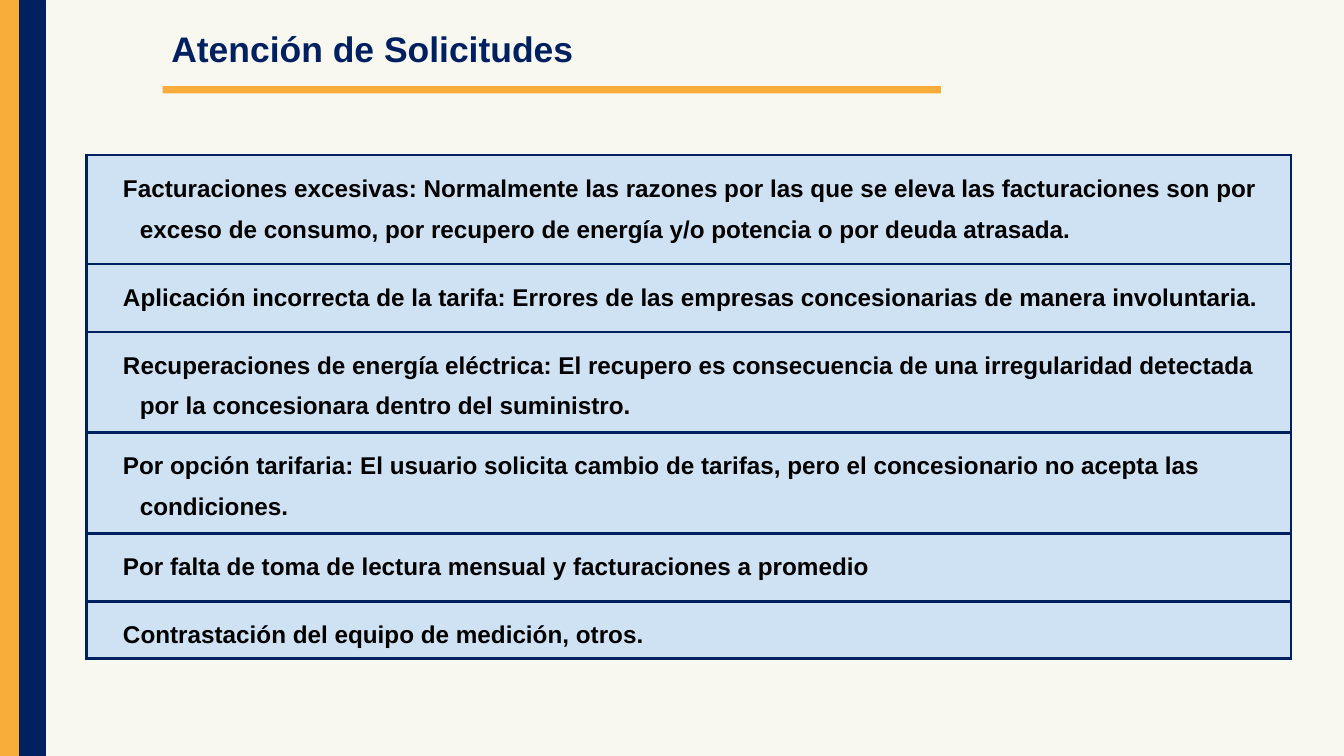
from dataclasses import dataclass

from lxml.etree import SubElement
from pptx import Presentation
from pptx.dml.color import RGBColor
from pptx.enum.shapes import MSO_SHAPE
from pptx.oxml.ns import qn
from pptx.util import Inches, Pt

COLORS = {
    "background": "F8F7F0",
    "orange": "F8AC39",
    "navy": "002060",
    "cell": "CFE2F3",
    "text": "000000",
}

# The slide is a grid of 20 columns by 11.25 rows
COLUMNS, ROWS = 20, 11.25
SLIDE_WIDTH, SLIDE_HEIGHT = Inches(20), Inches(11.25)

# Table row height: lines of text, cell margins and optional extra room
LINE_HEIGHT, CELL_MARGIN, EXTRA_ROOM = 0.61, 0.1, 0.2
BORDER_WIDTH = Pt(3)
BORDER_SIDES = ("a:lnL", "a:lnR", "a:lnT", "a:lnB")


@dataclass(frozen=True)
class Box:
    left: float
    top: float
    width: float
    height: float

    def lengths(self) -> tuple:
        return (across(self.left), down(self.top),
                across(self.width), down(self.height))


@dataclass(frozen=True)
class Bar:
    box: Box
    color: str
    outlined: bool = False


@dataclass(frozen=True)
class Request:
    text: str
    lines: int
    roomy: bool = False

    def height(self) -> float:
        extra = EXTRA_ROOM if self.roomy else 0
        return self.lines * LINE_HEIGHT + 2 * CELL_MARGIN + extra


BARS = (
    Bar(Box(0, 0, 0.38, ROWS), "orange"),
    Bar(Box(0.29, 0, 0.39, ROWS), "navy", outlined=True),
    Bar(Box(2.42, 1.28, 11.58, 0.11), "orange"),
)

REQUESTS = (
    Request("Facturaciones excesivas: Normalmente las razones por las que se eleva "
            "las facturaciones son por exceso de consumo, por recupero de energía "
            "y/o potencia o por deuda atrasada.", 2, roomy=True),
    Request("Aplicación incorrecta de la tarifa: Errores de las empresas "
            "concesionarias de manera involuntaria.", 1, roomy=True),
    Request("Recuperaciones de energía eléctrica: El recupero es consecuencia de "
            "una irregularidad detectada por la concesionara dentro del "
            "suministro.", 2),
    Request("Por opción tarifaria: El usuario solicita cambio de tarifas, pero el "
            "concesionario no acepta las condiciones.", 2),
    Request("Por falta de toma de lectura mensual y facturaciones a promedio",
            1, roomy=True),
    Request("Contrastación del equipo de medición, otros.", 1),
)


def across(columns: float) -> int:
    return round(SLIDE_WIDTH * columns / COLUMNS)


def down(rows: float) -> int:
    return round(SLIDE_HEIGHT * rows / ROWS)


def rgb(name: str) -> RGBColor:
    return RGBColor.from_string(COLORS[name])


def write_text(frame, text: str, size: float, color: str, spacing: float,
               left: float, indent: float = 0) -> None:
    """Write one bold paragraph with a left margin and first-line indent."""
    frame.word_wrap = True
    paragraph = frame.paragraphs[0]
    paragraph.line_spacing = spacing
    properties = paragraph._p.get_or_add_pPr()
    properties.set("marL", str(across(left)))
    properties.set("indent", str(across(indent)))
    run = paragraph.add_run()
    run.text = text
    font_format = {"name": "Arial", "size": Pt(size), "bold": True}
    for attribute, value in font_format.items():
        setattr(run.font, attribute, value)
    run.font.color.rgb = rgb(color)


def draw_bar(slide, bar: Bar) -> None:
    shape = slide.shapes.add_shape(MSO_SHAPE.RECTANGLE, *bar.box.lengths())
    shape.shadow.inherit = False
    shape.fill.solid()
    shape.fill.fore_color.rgb = rgb(bar.color)
    if bar.outlined:
        shape.line.color.rgb = rgb(bar.color)
        shape.line.width = Pt(0.75)
    else:
        shape.line.fill.background()


def add_borders(cell, color: str) -> None:
    properties = cell._tc.get_or_add_tcPr()
    for position, side in enumerate(BORDER_SIDES):
        line = properties.makeelement(qn(side), {"w": str(BORDER_WIDTH)})
        fill = SubElement(line, qn("a:solidFill"))
        SubElement(fill, qn("a:srgbClr"), val=COLORS[color])
        properties.insert(position, line)


def draw_table(slide, requests: tuple, left: float, top: float, width: float) -> None:
    box = Box(left, top, width, sum(request.height() for request in requests))
    table = slide.shapes.add_table(len(requests), 1, *box.lengths()).table
    table.first_row = table.horz_banding = False
    margins = {f"margin_{side}": across(CELL_MARGIN)
               for side in ("left", "top", "right", "bottom")}
    for row, request in zip(table.rows, requests):
        row.height = down(request.height())
        cell = row.cells[0]
        for attribute, value in margins.items():
            setattr(cell, attribute, value)
        cell.fill.solid()
        cell.fill.fore_color.rgb = rgb("cell")
        add_borders(cell, "navy")
        write_text(cell.text_frame, request.text, 26, "text", 1.5, 0.69, -0.25)


def main() -> None:
    presentation = Presentation()
    presentation.slide_width, presentation.slide_height = SLIDE_WIDTH, SLIDE_HEIGHT
    slide = presentation.slides.add_slide(presentation.slide_layouts[6])
    slide.background.fill.solid()
    slide.background.fill.fore_color.rgb = rgb("background")

    # Side bars and title underline
    for bar in BARS:
        draw_bar(slide, bar)

    # Title
    title = slide.shapes.add_textbox(*Box(1.45, 0.26, 13.25, 1.44).lengths())
    write_text(title.text_frame, "Atención de Solicitudes", 38, "navy", 1.15, 1)

    # Kinds of request
    draw_table(slide, REQUESTS, 1.29, 2.31, 17.92)

    presentation.save("out.pptx")


if __name__ == "__main__":
    main()
